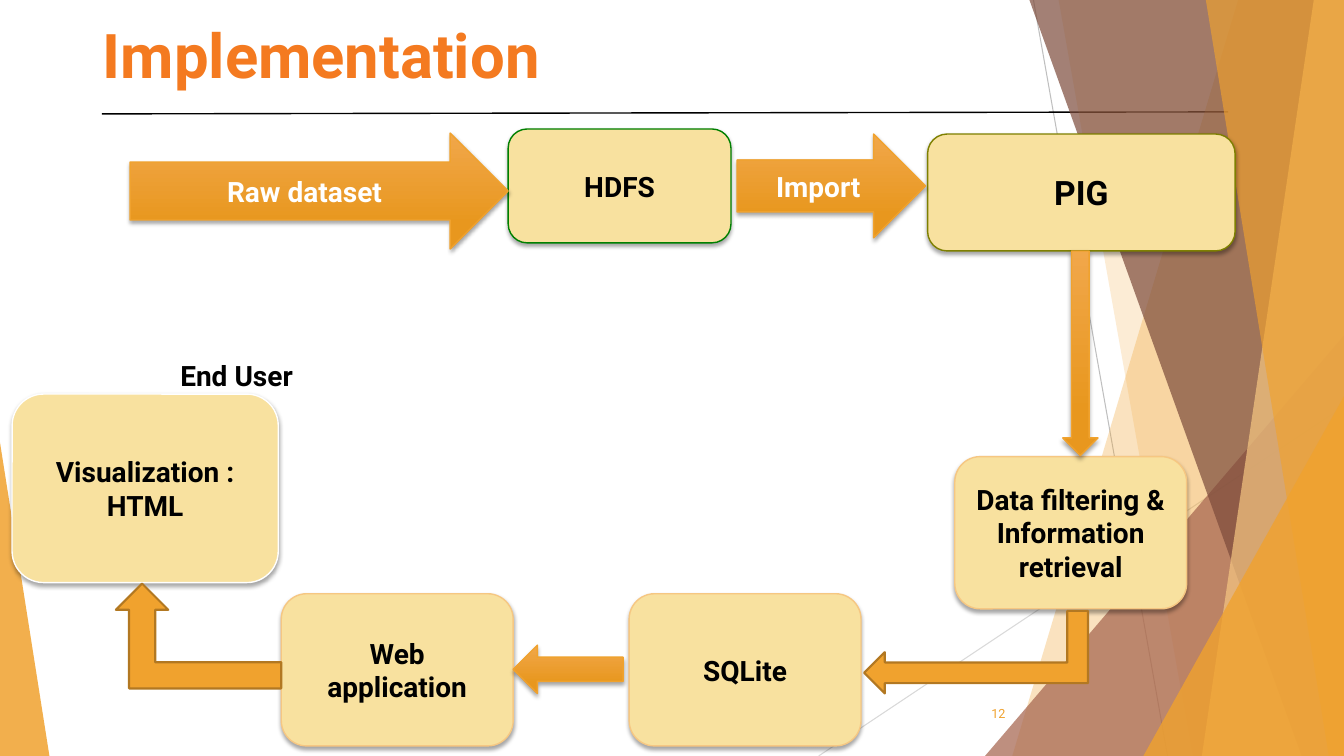
from lxml import etree
from pptx import Presentation
from pptx.dml.color import RGBColor
from pptx.enum.shapes import MSO_CONNECTOR, MSO_SHAPE as SHAPE
from pptx.enum.text import MSO_ANCHOR as ANCHOR, MSO_AUTO_SIZE, PP_ALIGN as ALIGN
from pptx.oxml import parse_xml
from pptx.oxml.ns import nsdecls, qn
from pptx.util import Inches, Pt

COLORS = {
    "title": "F47A20", "black": "000000", "white": "FFFFFF", "box": "F8E19F",
    "orange": "F0A22E", "peach": "F6C782", "brown": "7C4B3B", "rust": "A5644E",
    "green": "008000", "olive": "7E8000", "edge": "B27822",
    "light": "F1A74A", "deep": "E8971E", "gray": "BFBFBF", "pale": "D9D9D9",
}
RGB = {name: RGBColor.from_string(value) for name, value in COLORS.items()}
SHADOW = (
    f'<a:effectLst {nsdecls("a")}><a:outerShdw blurRad="38100" dist="25400" dir="5400000" '
    f'rotWithShape="0"><a:srgbClr val="{COLORS["black"]}"><a:alpha val="35000"/></a:srgbClr>'
    '</a:outerShdw></a:effectLst>'
)


def write(shape, text, size, color, bold=True, align=ALIGN.CENTER, anchor=ANCHOR.MIDDLE):
    tf = shape.text_frame
    tf.text = text
    tf.vertical_anchor = anchor
    for p in tf.paragraphs:
        p.alignment = align
        p.font.name = "Roboto"
        p.font.size = Pt(size)
        p.font.bold = bold
        p.font.color.rgb = RGB[color]


def add_block(kind, at, line, width=1, shadow=True):
    sp = s.shapes.add_shape(kind, *map(Inches, at))
    sp.line.color.rgb = RGB[line]
    sp.line.width = Pt(width)
    sp.shadow.inherit = False
    if shadow:
        sppr = sp.element.spPr
        sppr.replace(sppr.find(qn("a:effectLst")), parse_xml(SHADOW))
    return sp


prs = Presentation()
prs.slide_width, prs.slide_height = Inches(13.33), Inches(7.5)
s = prs.slides.add_slide(prs.slide_layouts[5])

lines = [
    (10.25, 0, 11.58, 7.5, "gray", 0.75),
    (13.33, 4.03, 8.12, 7.5, "pale", 0.75),
    (1.01, 1.13, 12.18, 1.11, "black", 1),
]
for x1, y1, x2, y2, color, width in lines:
    ln = s.shapes.add_connector(MSO_CONNECTOR.STRAIGHT, *map(Inches, (x1, y1, x2, y2)))
    ln.line.color.rgb = RGB[color]
    ln.line.width = Pt(width)
    etree.SubElement(ln.element.spPr, qn("a:effectLst"))

facets = [
    ("band", (12.28, 10.04), "orange", 30),
    ("band", (10.5, 11.83), "orange", 20),
    ("triangle", (9.77, 3.33, 3.56, 4.17, 1), "rust", 72),
    ("band", (10.21, 12.91), "brown", 70),
    ("band", (13.03, 11.92), "peach", 70),
    ("band", (11.96, 13.18), "orange", 65),
    ("triangle", (11.34, 3.93, 1.99, 3.57, 1), "orange", 80),
    ("triangle", (0, 4.39, 0.49, 3.11, 0), "orange", 85),
]
for kind, geometry, color, opacity in facets:
    if kind == "band":
        top, bottom = geometry
        corners = [(13.33, 0), (13.33, 7.5), (bottom, 7.5)]
        fb = s.shapes.build_freeform(Inches(top), 0)
        fb.add_line_segments([(Inches(x), Inches(y)) for x, y in corners])
        sp = fb.convert_to_shape()
    else:
        sp = s.shapes.add_shape(SHAPE.ISOSCELES_TRIANGLE, *map(Inches, geometry[:4]))
        sp.adjustments[0] = geometry[4]
    sp.fill.solid()
    sp.fill.fore_color.rgb = RGB[color]
    clr = sp.element.spPr.find(qn("a:solidFill")).find(qn("a:srgbClr"))
    etree.SubElement(clr, qn("a:alpha"), val=str(opacity * 1000))
    sp.line.fill.background()
    sp.shadow.inherit = False

title = s.shapes.title
title.left, title.top, title.width, title.height = map(Inches, (0.92, 0.12, 11, 1.12))
title.text_frame.auto_size = MSO_AUTO_SIZE.NONE
write(title, "Implementation", 44, "title", align=ALIGN.LEFT, anchor=ANCHOR.TOP)

boxes = [
    ("HDFS", (5.04, 1.28, 2.21, 1.13), "green", 20),
    ("PIG", (9.2, 1.33, 3.05, 1.16), "olive", 24),
    ("Data filtering &\nInformation retrieval", (9.47, 4.53, 2.3, 1.51), "peach", 20),
    ("Visualization :\nHTML", (0.12, 3.91, 2.64, 1.87), "white", 20),
    ("SQLite", (6.24, 5.89, 2.3, 1.51), "peach", 20),
    ("Web application", (2.79, 5.89, 2.3, 1.51), "peach", 20),
]
for text, at, line, size in boxes:
    sp = add_block(SHAPE.ROUNDED_RECTANGLE, at, line)
    sp.fill.solid()
    sp.fill.fore_color.rgb = RGB["box"]
    write(sp, text, size, "black")

arrows = [
    (SHAPE.RIGHT_ARROW, (1.29, 1.32, 3.75, 1.15), "Raw dataset"),
    (SHAPE.RIGHT_ARROW, (7.31, 1.33, 1.87, 1.03), "Import"),
    (SHAPE.DOWN_ARROW, (10.54, 2.49, 0.35, 2.03), ""),
    (SHAPE.LEFT_ARROW, (5.09, 6.4, 1.09, 0.48), ""),
]
for kind, at, text in arrows:
    sp = add_block(kind, at, "orange")
    sp.fill.gradient()
    sp.fill.gradient_angle = 270
    for stop, position, color in zip(sp.fill.gradient_stops, (0, 0.78), ("light", "deep")):
        stop.position = position
        stop.color.rgb = RGB[color]
    if text:
        write(sp, text, 20, "white")

for at, rotation in [((1.15, 5.79, 1.64, 1.04), 0), ((9.27, 5.36, 0.82, 2.22), 270)]:
    sp = add_block(SHAPE.BENT_UP_ARROW, at, "edge", 1.5, shadow=False)
    sp.fill.solid()
    sp.fill.fore_color.rgb = RGB["orange"]
    sp.rotation = rotation
    sp.element.spPr.find(qn("a:xfrm")).set("flipH", "1")

end_user = s.shapes.add_textbox(*map(Inches, (1.69, 3.51, 1.33, 0.44)))
end_user.text_frame.word_wrap = False
write(end_user, "End User", 20, "black", align=ALIGN.LEFT, anchor=ANCHOR.TOP)

number = s.shapes.add_textbox(*map(Inches, (9.32, 6.88, 0.75, 0.4)))
number.text_frame.word_wrap = True
write(number, "12", 9, "orange", bold=False, align=ALIGN.RIGHT)

prs.save("out.pptx")
